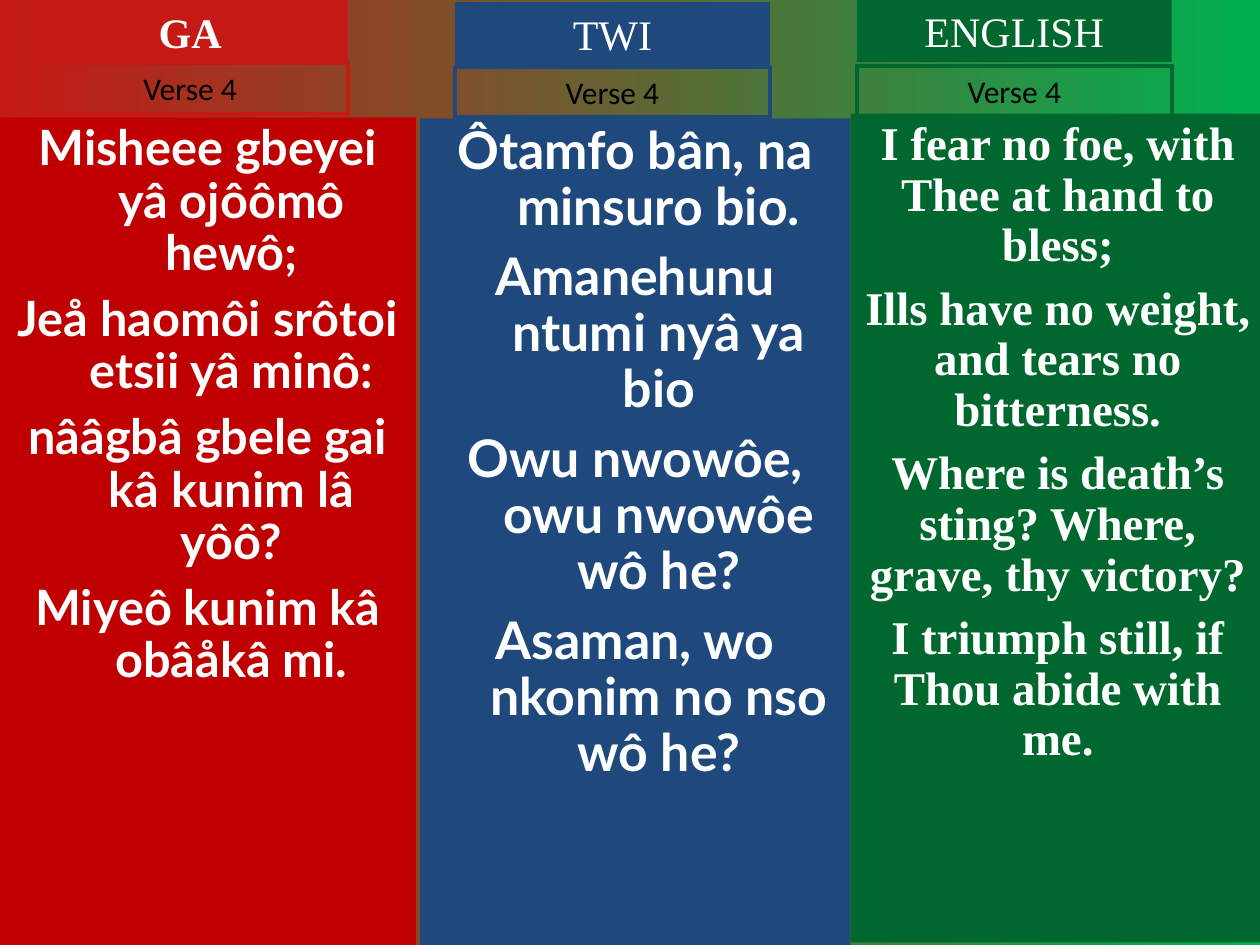
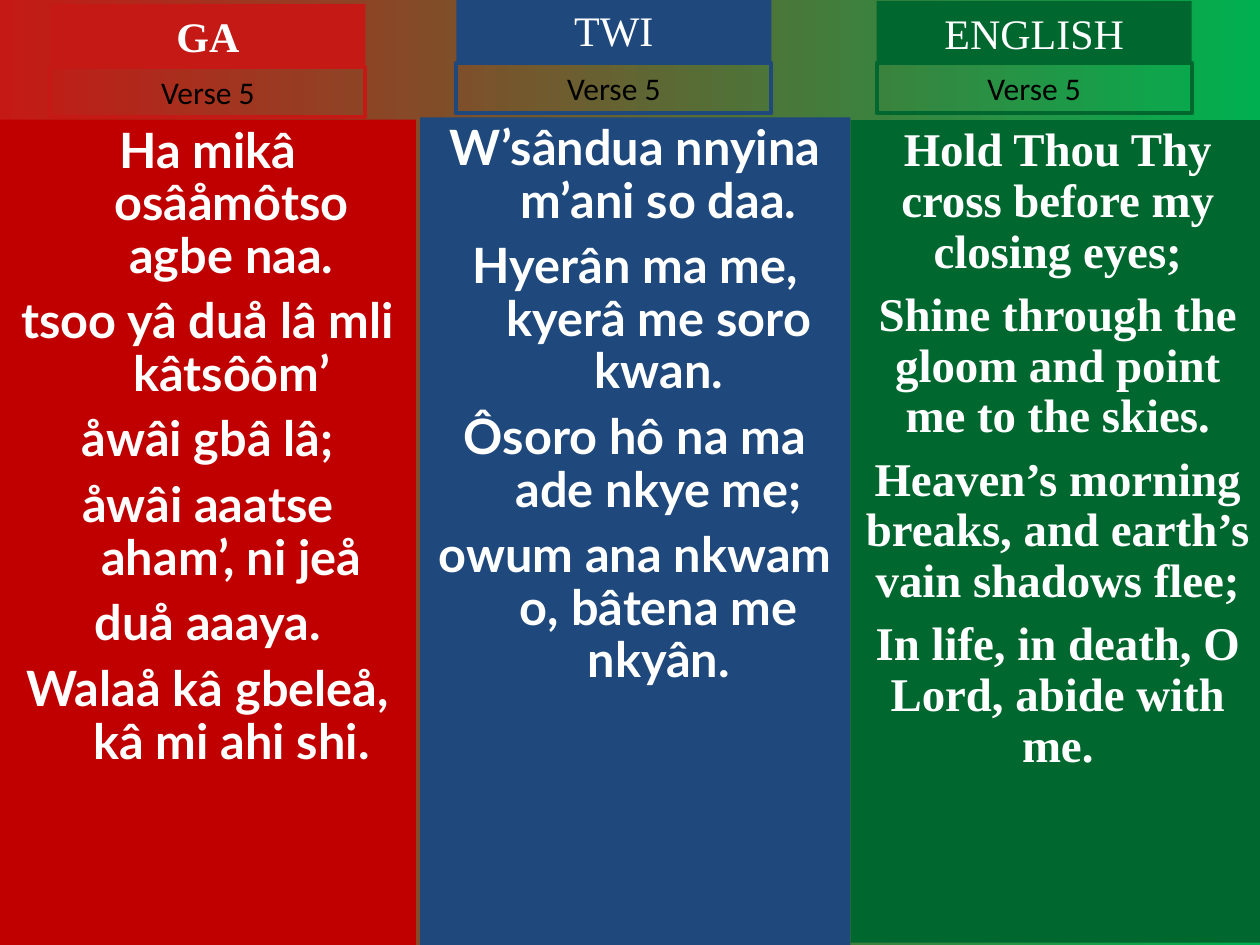
import lxml.etree
import pptx
import pptx.dml.color
import pptx.enum.shapes
import pptx.enum.text
import pptx.oxml.ns
import pptx.util

Pt = pptx.util.Pt
WHITE, BLACK = "FFFFFF", "000000"
BACKGROUND = ("C51915", "00B050")
SERIF, SANS, BADGE_FONT = "Times New Roman", "Lato", "Calibri"
HANGING = 27
HEADING_SIZE = (180, 36)
BADGE_HEIGHT = 28.8

# What each language column keeps on every slide
LANGUAGES = {
    "GA": dict(left=0, width=237.6, bottom=540, panel="C00000", accent="C51915",
               font=SANS, hanging=HANGING, bold_heading=True),
    "TWI": dict(left=240, width=246, bottom=540, panel="1F497D", accent="1F497D",
                font=SANS, hanging=HANGING, bold_heading=False),
    "ENGLISH": dict(left=486, width=236.9, bottom=538.6, panel="00682F", accent="00682F",
                    font=SERIF, hanging=0, bold_heading=False),
}

# For each verse: heading corner, badge top, panel top, text size, space before, lines
VERSES = {
    "Verse 4": {
        "GA": dict(heading=(18.7, 0), badge_top=36.2, panel_top=67, size=27.8, gap=7.5, lines=[
            "Misheee gbeyei yâ ojôômô hewô;",
            "Jeå haomôi srôtoi etsii yâ minô:",
            "nââgbâ gbele gai kâ kunim lâ yôô?",
            "Miyeô kunim kâ obâåkâ mi."]),
        "TWI": dict(heading=(260, 1.2), badge_top=38.2, panel_top=67.7, size=29.6, gap=8, lines=[
            "Ôtamfo bân, na minsuro bio.",
            "Amanehunu ntumi nyâ ya bio",
            "Owu nwowôe, owu nwowôe wô he?",
            "Asaman, wo nkonim no nso wô he?"]),
        "ENGLISH": dict(heading=(489.6, -0.5), badge_top=37.6, panel_top=65, size=26.8, gap=7.3, lines=[
            "I fear no foe, with Thee at hand to bless;",
            "Ills have no weight, and tears no bitterness.",
            "Where is death’s sting? Where, grave, thy victory?",
            "I triumph still, if Thou abide with me."]),
    },
    "Verse 5": {
        "GA": dict(heading=(28.8, 2.2), badge_top=38.2, panel_top=68.4, size=27.8, gap=7.5, lines=[
            "Ha mikâ osâåmôtso agbe naa.",
            "tsoo yâ duå lâ mli kâtsôôm’",
            "åwâi gbâ lâ;",
            "åwâi aaatse aham’, ni jeå",
            "duå aaaya.",
            "Walaå kâ gbeleå, kâ mi ahi shi."]),
        "TWI": dict(heading=(260.8, -0.7), badge_top=36, panel_top=67, size=27.8, gap=7.5, lines=[
            "W’sândua nnyina m’ani so daa.",
            "Hyerân ma me, kyerâ me soro kwan.",
            "Ôsoro hô na ma ade nkye me;",
            "owum ana nkwam o, bâtena me nkyân."]),
        "ENGLISH": dict(heading=(501, 0.5), badge_top=36, panel_top=68.6, size=26.8, gap=7.3, lines=[
            "Hold Thou Thy cross before my closing eyes;",
            "Shine through the gloom and point me to the skies.",
            "Heaven’s morning breaks, and earth’s vain shadows flee;",
            "In life, in death, O Lord, abide with me."]),
    },
}


def rgb(hex_colour):
    return pptx.dml.color.RGBColor.from_string(hex_colour)


def place_box(slide, box, placeholder=None, fill=None, line=None):
    """Place a rectangle, or move the given placeholder, into box."""
    left, top, width, height = map(Pt, box)
    shape = placeholder
    if shape is None:
        shape = slide.shapes.add_shape(
            pptx.enum.shapes.MSO_SHAPE.RECTANGLE, left, top, width, height)
    else:
        shape.left, shape.top, shape.width, shape.height = left, top, width, height
    shape.shadow.inherit = False
    if fill:
        shape.fill.solid()
        shape.fill.fore_color.rgb = rgb(fill)
    else:
        shape.fill.background()
    if line:
        shape.line.color.rgb = rgb(line)
        shape.line.width = Pt(2.25)
    else:
        shape.line.fill.background()
    return shape


def write(shape, lines, font, size, colour=WHITE, bold=False, hanging=0, spacing=1.0, gap=0):
    """Write centred paragraphs from the top of the shape."""
    frame = shape.text_frame
    frame.word_wrap = True
    frame.auto_size = pptx.enum.text.MSO_AUTO_SIZE.NONE
    frame.vertical_anchor = pptx.enum.text.MSO_ANCHOR.TOP
    frame.margin_left = frame.margin_right = Pt(7.2)
    frame.margin_top = frame.margin_bottom = Pt(3.6)
    for index, line in enumerate(lines):
        paragraph = frame.add_paragraph() if index else frame.paragraphs[0]
        properties = paragraph._p.get_or_add_pPr()
        properties.set("marL", str(Pt(hanging)))
        properties.set("indent", str(-Pt(hanging)))
        lxml.etree.SubElement(properties, pptx.oxml.ns.qn("a:buNone"))
        paragraph.alignment = pptx.enum.text.PP_ALIGN.CENTER
        paragraph.line_spacing = spacing
        paragraph.space_before = Pt(gap if index else 0)
        run = paragraph.add_run()
        run.text = line
        run.font.name, run.font.size, run.font.bold = font, Pt(size), bold
        run.font.color.rgb = rgb(colour)


def add_panel(slide, box, style, verse, placeholder):
    panel = place_box(slide, box, placeholder, fill=style["panel"])
    write(panel, verse["lines"], style["font"], verse["size"], bold=True,
          hanging=style["hanging"], spacing=0.9, gap=verse["gap"])


def add_header(slide, box, badge_top, language, style, verse_name, placeholder):
    """Language heading filling box, with the verse badge below it."""
    heading = place_box(slide, box, placeholder, fill=style["accent"])
    write(heading, [language], SERIF, 24, bold=style["bold_heading"])
    left, _, width, _ = box
    badge = place_box(slide, (left, badge_top, width, BADGE_HEIGHT), line=style["accent"])
    write(badge, [verse_name], BADGE_FONT, 18, colour=BLACK)


def add_verse_slide(deck, verse_name, verses):
    slide = deck.slides.add_slide(deck.slide_layouts.get_by_name("Two Content"))
    title, ga_body, twi_body = slide.placeholders
    bodies = {"GA": ga_body, "TWI": twi_body}
    titles = {"GA": title}
    # Verse panels
    for language, style in LANGUAGES.items():
        verse = verses[language]
        top = verse["panel_top"]
        box = (style["left"], top, style["width"], style["bottom"] - top)
        add_panel(slide, box, style, verse, bodies.get(language))
    # Headings and badges
    for language, style in LANGUAGES.items():
        verse = verses[language]
        add_header(slide, verse["heading"] + HEADING_SIZE, verse["badge_top"],
                   language, style, verse_name, titles.get(language))


def main():
    deck = pptx.Presentation()
    deck.slide_width, deck.slide_height = Pt(720), Pt(540)
    # Shared background
    backdrop = deck.slide_master.background.fill
    backdrop.gradient()
    backdrop.gradient_angle = 0
    for stop, colour in zip(backdrop.gradient_stops, BACKGROUND):
        stop.color.rgb = rgb(colour)
    for verse_name, verses in VERSES.items():
        add_verse_slide(deck, verse_name, verses)
    deck.save("out.pptx")


if __name__ == "__main__":
    main()
